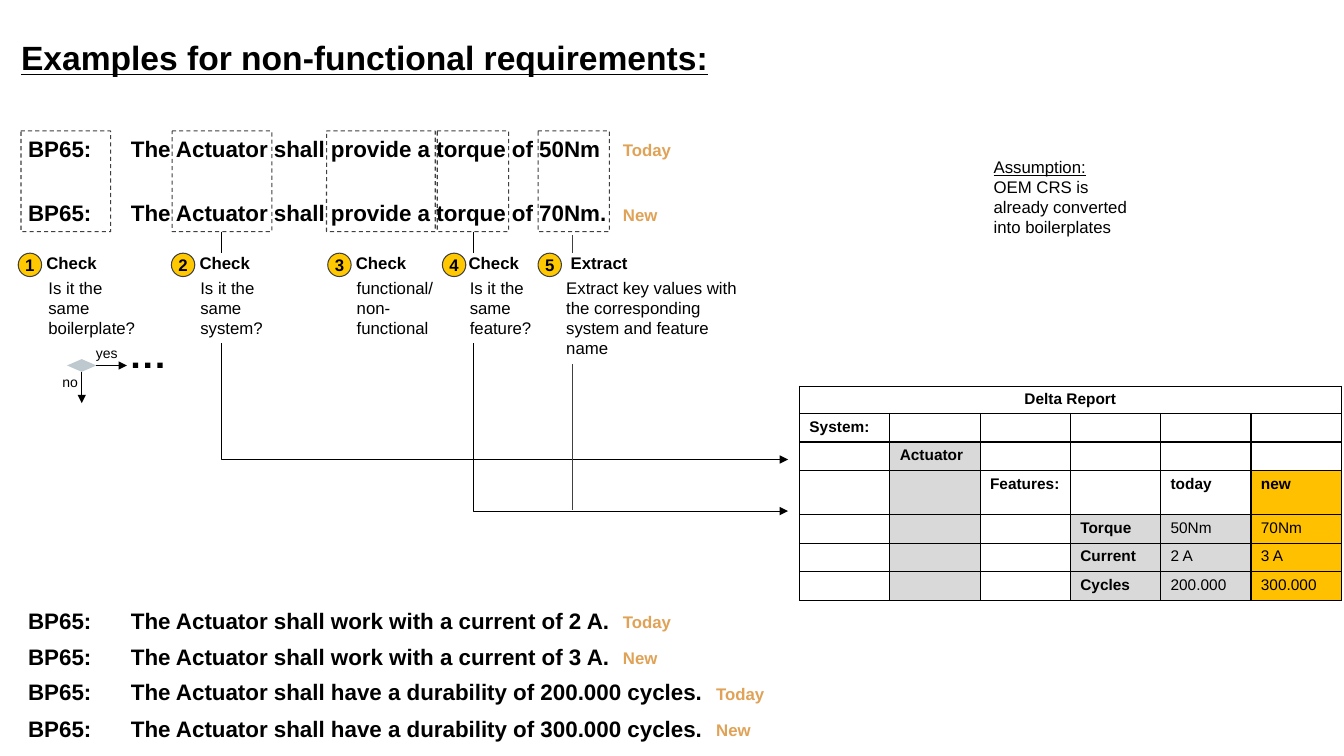
"""Builds the slide on examples for non-functional requirements."""
from pptx import Presentation
from pptx import util as u
from pptx.dml.color import RGBColor
from pptx.enum import dml, shapes, text
from pptx.oxml.ns import qn
from lxml import etree

TITLE = "Examples for non-functional requirements:"
REQUIREMENTS = [
    (3.4, "The Actuator shall provide a torque of 50Nm", 15.7, "Today"),
    (5.03, "The Actuator shall provide a torque of 70Nm.", 15.7, "New"),
    (15.29, "The Actuator shall work with a current of 2 A.", 15.7, "Today"),
    (16.2, "The Actuator shall work with a current of 3 A.", 15.7, "New"),
    (17.1, "The Actuator shall have a durability of 200.000 cycles.", 18.05, "Today"),
    (18.01, "The Actuator shall have a durability of 300.000 cycles.", 18.05, "New"),
]
# box left, box width, badge left, heading left, question left, width, height
STEPS = [
    ("Check", "Is it the same boilerplate?", 0.53, 2.26, 0.46, 1.17, 1.22, 2.31, 1.65),
    ("Check", "Is it the same system?", 4.34, 2.51, 4.32, 5.03, 5.05, 2.06, 1.65),
    ("Check", "functional/ non-functional", 8.23, 2.74, 8.26, 8.97, 8.99, 2.06, 1.65),
    ("Check", "Is it the same feature?", 11.02, 1.8, 11.15, 11.81, 11.84, 2.06, 1.65),
    ("Extract", "Extract key values with the corresponding system and feature name",
     13.56, 1.8, 13.56, 14.38, 14.27, 4.57, 2.18),
]
REPORT = [
    ["Delta Report", "", "", "", "", ""],
    ["System:", "", "", "", "", ""],
    ["", "Actuator", "", "", "", ""],
    ["", "", "Features:", "", "today", "new"],
    ["", "", "", "Torque", "50Nm", "70Nm"],
    ["", "", "", "Current", "2 A", "3 A"],
    ["", "", "", "Cycles", "200.000", "300.000"],
]
ASSUMPTION = ["Assumption: ", "OEM CRS is already converted into boilerplates"]
COLORS = {"ink": "000000", "paper": "FFFFFF", "dash": "404040", "badge": "FFC800",
          "rim": "414141", "tag": "DFA256", "gray": "D9D9D9", "new": "FFC000",
          "decision": "BDC9CF"}
BOX_TOP, BOX_HEIGHT, STEP_TOP, QUESTION_TOP = 3.3, 2.54, 6.38, 6.99
FLOW_Y, FLOW_X = 9.21, 2.06

deck = Presentation()
deck.slide_width, deck.slide_height = u.Cm(33.87), u.Cm(19.05)
slide = deck.slides.add_slide(deck.slide_layouts[5])


def color(name):
    return RGBColor.from_string(COLORS[name])


def cm(*lengths):
    return [u.Cm(length) for length in lengths]


def write(frame, *runs, size=12, bold=False, underline=(), ink="ink",
          align=text.PP_ALIGN.LEFT, anchor=text.MSO_ANCHOR.TOP, margin=0):
    """Fill a text frame with one paragraph."""
    frame.word_wrap, frame.auto_size = True, text.MSO_AUTO_SIZE.NONE
    frame.vertical_anchor = anchor
    frame.margin_left = frame.margin_right = u.Cm(margin)
    frame.margin_top = frame.margin_bottom = u.Cm(margin / 2)
    paragraph = frame.paragraphs[0]
    paragraph.alignment = align
    for index, words in enumerate(runs):
        run = paragraph.add_run()
        run.text = words
        font = run.font
        font.name, font.size, font.bold = "Arial", u.Pt(size), bold
        font.underline = index in underline
        font.color.rgb = color(ink)


def label(words, left, top, width, height, back=None, **style):
    box = slide.shapes.add_textbox(*cm(left, top, width, height))
    if back:
        box.fill.solid()
        box.fill.fore_color.rgb = color(back)
    write(box.text_frame, words, **style)


def shape(kind, left, top, width, height, fill=None, line=None):
    part = slide.shapes.add_shape(kind, *cm(left, top, width, height))
    part.shadow.inherit = False
    if fill:
        part.fill.solid()
        part.fill.fore_color.rgb = color(fill)
    else:
        part.fill.background()
    if line:
        part.line.color.rgb, part.line.width = color(line), u.Pt(0.75)
    else:
        part.line.fill.background()
    return part


def connect(x1, y1, x2, y2, kind=shapes.MSO_CONNECTOR.STRAIGHT, ink="ink",
            width=0.75, arrow=True):
    link = slide.shapes.add_connector(kind, *cm(x1, y1, x2, y2))
    link.line.color.rgb, link.line.width = color(ink), u.Pt(width)
    if arrow:
        etree.SubElement(link.line._ln, qn("a:tailEnd"), type="triangle")
    etree.SubElement(link._element.spPr, qn("a:effectLst"))
    return link


def connect_down_right(x1, y1, x2, y2):
    mid_x, mid_y = (x1 + x2) / 2, (y1 + y2) / 2
    half_down, half_right = (y2 - y1) / 2, (x2 - x1) / 2
    link = connect(mid_x + half_down, mid_y - half_right, mid_x - half_down,
                   mid_y + half_right, kind=shapes.MSO_CONNECTOR.ELBOW)
    properties = link._element.spPr
    properties.find(qn("a:xfrm")).set("rot", "16200000")
    properties.find(qn("a:prstGeom")).set("prst", "bentConnector2")


def report_fill(row, column):
    if column == 5 and row >= 3:
        return "new"
    if (column == 1 and row >= 2) or (column in (3, 4) and row >= 4):
        return "gray"
    return None


def border(cell):
    for side in ("a:lnL", "a:lnR", "a:lnT", "a:lnB"):
        edge = etree.SubElement(cell._tc.get_or_add_tcPr(), qn(side), w="12700")
        paint = etree.SubElement(edge, qn("a:solidFill"))
        etree.SubElement(paint, qn("a:srgbClr"), val=COLORS["ink"])


title = slide.shapes.title
title.left, title.top, title.width, title.height = cm(0.53, 0.94, 17.4, 1.07)
write(title.text_frame, TITLE, size=24, bold=True, underline=(0,))

for top, sentence, tag_left, tag in REQUIREMENTS:
    label("BP65:", 0.71, top, 1.8, 0.71, size=16, bold=True)
    label(sentence, 3.3, top, 14.68, 0.86, size=16, bold=True)
    label(tag, tag_left, top + 0.12, 1.68, 0.64, back="paper", bold=True, ink="tag")

connect_down_right(5.59, BOX_TOP + BOX_HEIGHT, 19.86, 11.58)
connect_down_right(11.94, BOX_TOP + BOX_HEIGHT, 19.86, 12.88)
connect(14.43, 12.85, 14.43, 5.92, ink="dash", width=1, arrow=False)

for number, (heading, question, box_left, box_width, badge_left, heading_left,
             question_left, width, height) in enumerate(STEPS, 1):
    frame = shape(shapes.MSO_SHAPE.ROUNDED_RECTANGLE, box_left, BOX_TOP, box_width,
                  BOX_HEIGHT, line="dash")
    frame.adjustments[0] = 0.005
    frame.line.dash_style = dml.MSO_LINE.DASH
    label(question, question_left, QUESTION_TOP, width, height, back="paper")
    label(heading, heading_left, STEP_TOP, 1.68, 0.64, back="paper", bold=True)
    badge = shape(shapes.MSO_SHAPE.OVAL, badge_left, STEP_TOP, 0.59, 0.59,
                  fill="badge", line="rim")
    write(badge.text_frame, str(number), bold=True, align=text.PP_ALIGN.CENTER,
          anchor=text.MSO_ANCHOR.MIDDLE)

decision = shape(shapes.MSO_SHAPE.DIAMOND, FLOW_X - 0.37, FLOW_Y - 0.16, 0.74, 0.32,
                 fill="decision")
connect(FLOW_X + 0.37, FLOW_Y, 3.2, FLOW_Y).begin_connect(decision, 3)
connect(FLOW_X, FLOW_Y + 0.16, FLOW_X, 10.16).begin_connect(decision, 2)
label("yes", 2.36, 8.69, 0.66, 0.48, size=10, align=text.PP_ALIGN.CENTER)
label("no", 1.5, 9.42, 0.53, 0.48, size=10, align=text.PP_ALIGN.CENTER)
for dot in range(3):
    shape(shapes.MSO_SHAPE.RECTANGLE, 3.35 + dot * 0.31, 9.14, 0.13, 0.13, fill="ink")

report = slide.shapes.add_table(7, 6, *cm(20.15, 9.73, 13.65, 5.27)).table
report.first_row = report.horz_banding = False
for column in report.columns:
    column.width = u.Cm(2.275)
for index, row in enumerate(report.rows):
    row.height = u.Cm(1.11 if index == 3 else 0.69)
for row, entries in enumerate(REPORT):
    for column, entry in enumerate(entries):
        cell = report.cell(row, column)
        border(cell)
        fill = report_fill(row, column)
        if fill:
            cell.fill.solid()
            cell.fill.fore_color.rgb = color(fill)
        else:
            cell.fill.background()
        cell.margin_left = cell.margin_right = u.Cm(0.25)
        cell.margin_top = cell.margin_bottom = u.Cm(0.12)
        paragraph = cell.text_frame.paragraphs[0]
        paragraph.alignment = text.PP_ALIGN.LEFT if row else text.PP_ALIGN.CENTER
        if entry:
            run = paragraph.add_run()
            run.text = entry
            run.font.name, run.font.size = "Arial", u.Pt(11)
            run.font.bold = row < 4 or column < 4
            run.font.color.rgb = color("ink")
        else:
            etree.SubElement(paragraph._p, qn("a:endParaRPr"), sz="1100")
report.cell(0, 0).merge(report.cell(0, 5))

assumption = slide.shapes.add_textbox(*cm(25.04, 3.94, 3.38, 1.47))
write(assumption.text_frame, *ASSUMPTION, underline=(0,))

deck.save("out.pptx")
